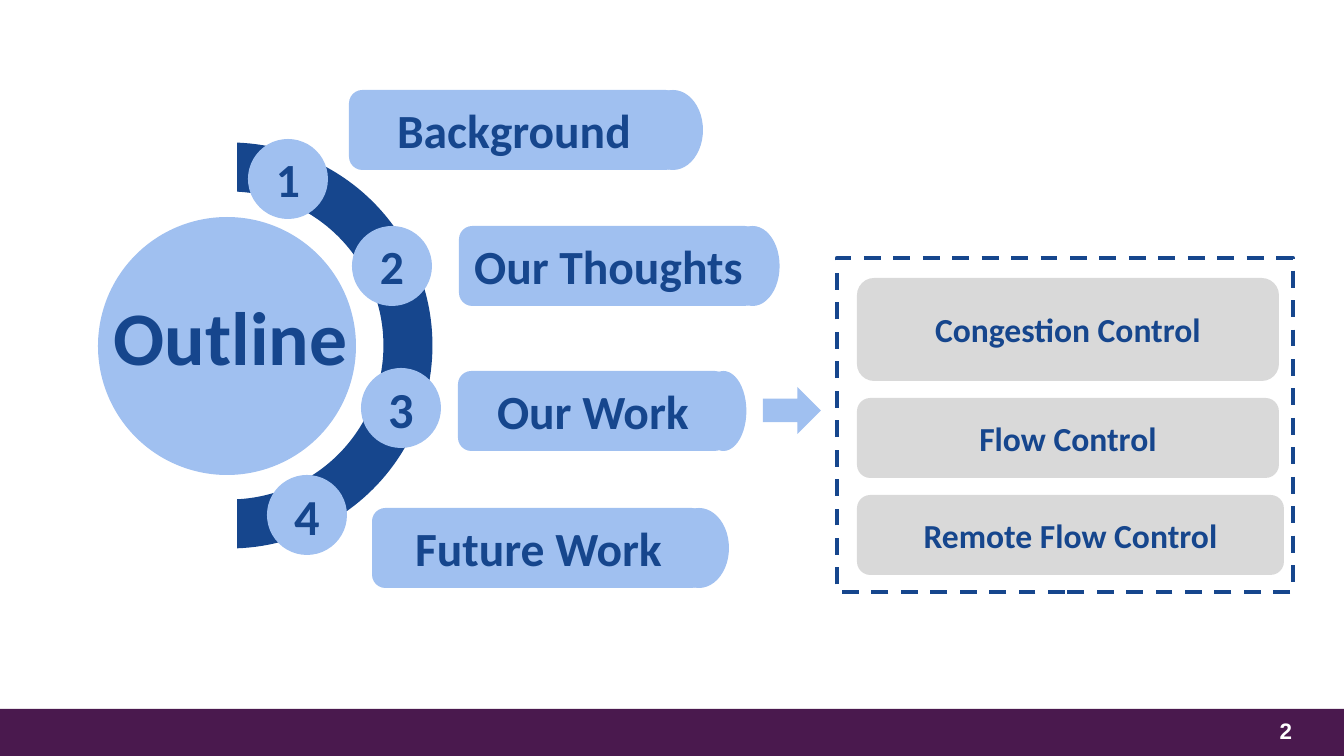
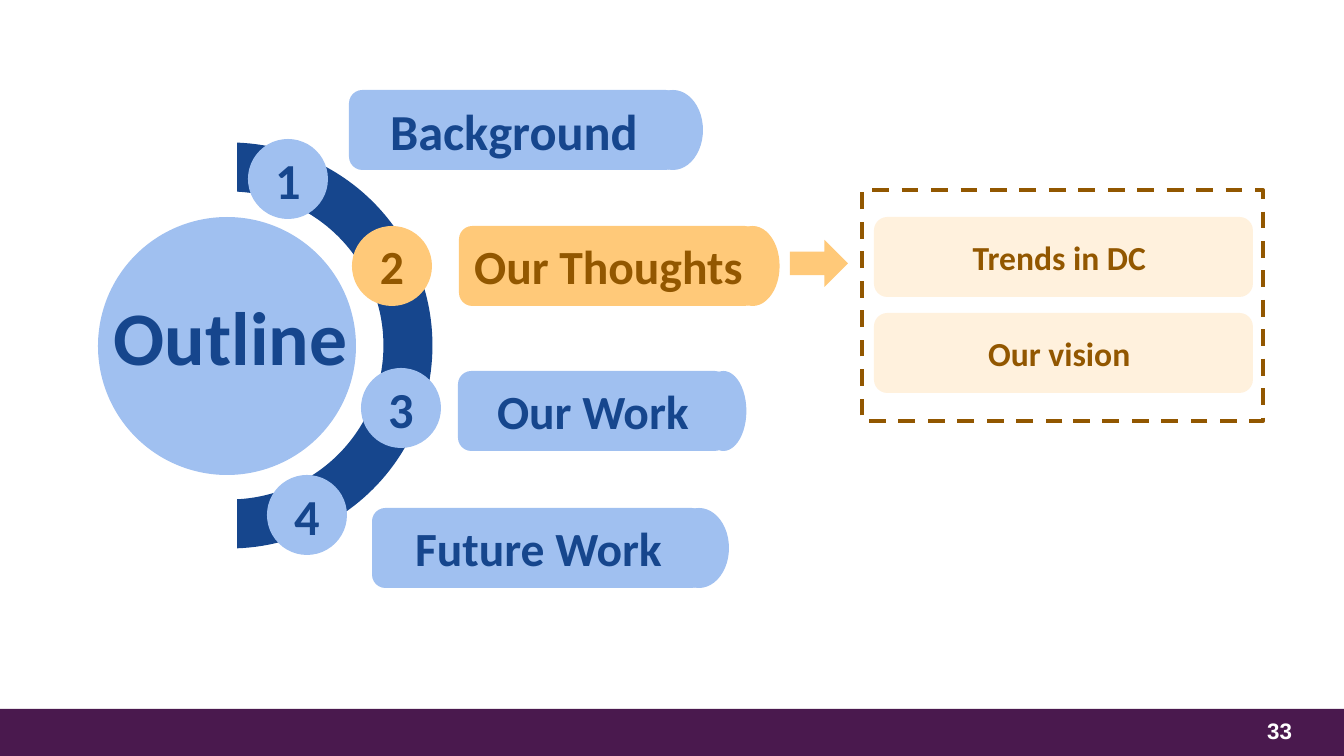
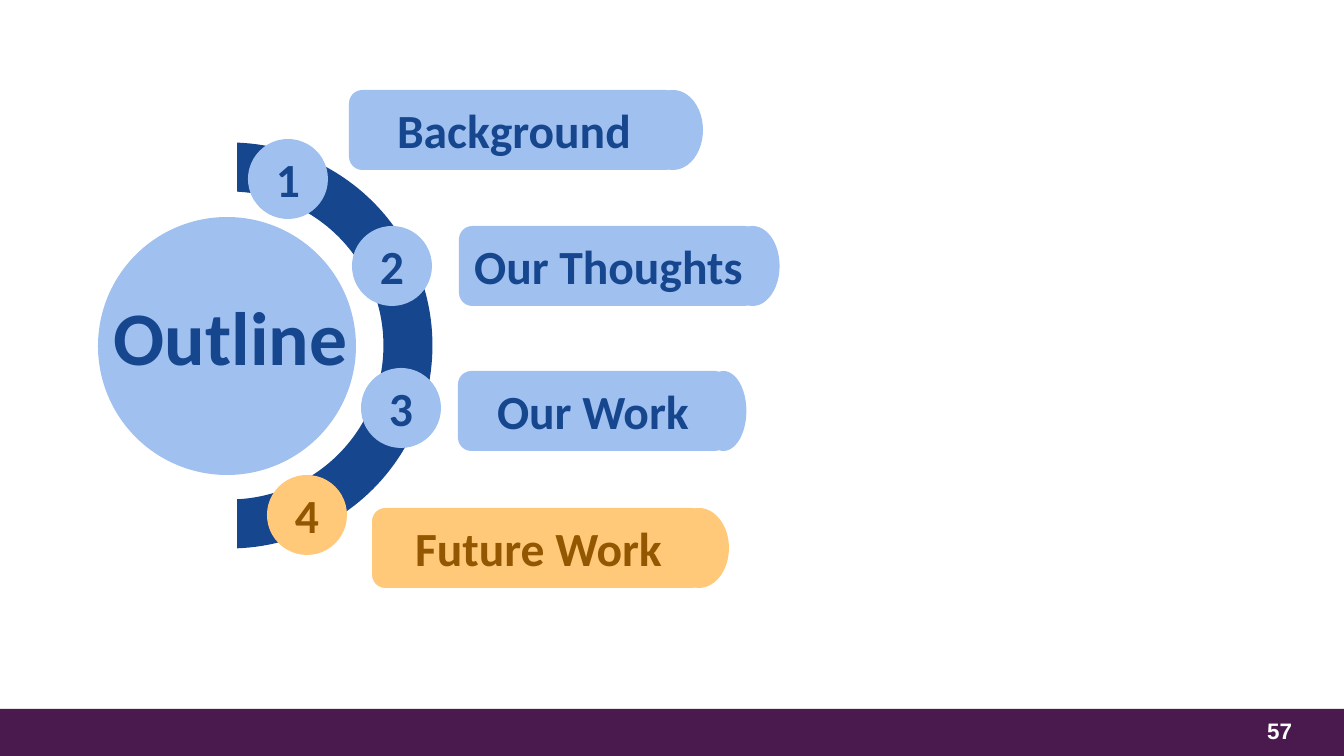
from dataclasses import dataclass

from pptx import Presentation
from pptx import util as u
from pptx.dml.color import RGBColor
from pptx.enum import dml, shapes, text

PX = 914400 / 100.8
NAVY = RGBColor(0x16, 0x46, 0x8D)
SKY = RGBColor(0xA0, 0xC0, 0xF0)
BROWN = RGBColor(0x92, 0x57, 0x00)
AMBER = RGBColor(0xFF, 0xC9, 0x79)
CREAM = RGBColor(0xFF, 0xF1, 0xDD)
GREY = RGBColor(0xD9, 0xD9, 0xD9)
PLUM = RGBColor(0x4A, 0x19, 0x4E)
WHITE = RGBColor(0xFF, 0xFF, 0xFF)
KIND = shapes.MSO_SHAPE
DISC = 80
PILL_HEIGHT = 80


@dataclass
class Topic:
    label: str
    disc: tuple
    pill: tuple
    body: int
    cap: int


TOPICS = [
    Topic("Background", (197, 49), (298, 0), 330, 60),
    Topic("Our Thoughts", (301, 136), (408, 136), 299, 54),
    Topic("Our Work", (310, 278), (407, 281), 270, 46),
    Topic("Future Work", (216, 385), (321, 418), 333, 60),
]


def emu(*lengths):
    return [u.Emu(round(length * PX)) for length in lengths]


def write(shape, words, size=34, color=NAVY, font="Calibri",
          align=text.PP_ALIGN.CENTER, anchor=text.MSO_ANCHOR.MIDDLE):
    frame = shape.text_frame
    frame.word_wrap = True
    frame.vertical_anchor = anchor
    para = frame.paragraphs[0]
    para.alignment = align
    span = para.add_run()
    span.text = words
    span.font.name = font
    span.font.size = u.Pt(size)
    span.font.bold = True
    span.font.color.rgb = color


def draw(page, kind, *box, fill=None, line=None, weight=3, dash=None):
    shape = page.shapes.add_shape(kind, *emu(*box))
    shape.shadow.inherit = False
    if fill is None:
        shape.fill.background()
    else:
        shape.fill.solid()
        shape.fill.fore_color.rgb = fill
    if line is None:
        shape.line.fill.background()
    else:
        shape.line.color.rgb = line
        shape.line.width = u.Pt(weight)
        shape.line.dash_style = dash
    return shape


def add_band(page, layout):
    for holder in list(layout.placeholders):
        layout.shapes.element.remove(holder.element)
    band = draw(page, KIND.RECTANGLE, 0, 709, 1344, 47, fill=PLUM)
    layout.shapes.element.append(band.element)


def add_number(page, number):
    box = page.shapes.add_textbox(*emu(1005, 713, 297, 35))
    write(box, str(number), size=16, color=WHITE, font="Arial",
          align=text.PP_ALIGN.RIGHT)


def add_pill(page, left, top, topic, fill, color, size):
    cap_left = left + topic.body - 0.6 * topic.cap
    draw(page, KIND.OVAL, cap_left, top, topic.cap, PILL_HEIGHT, fill=fill)
    body = draw(page, KIND.ROUNDED_RECTANGLE, left, top, topic.body,
                PILL_HEIGHT, fill=fill)
    write(body, topic.label, size=size, color=color)


def add_outline(page, left, top, active=None, digit_sizes=(34,) * 4,
                first_label=34):
    draw(page, KIND.OVAL, left, top + 77, 357, 357, line=NAVY, weight=35)
    draw(page, KIND.RECTANGLE, left - 34, top + 9, 220, 479, fill=WHITE)
    draw(page, KIND.OVAL, left + 47, top + 127, 258, 258, fill=SKY)
    title = page.shapes.add_textbox(*emu(left + 38, top + 195, 283, 102))
    write(title, "Outline", size=54, anchor=text.MSO_ANCHOR.TOP)
    for number, (topic, size) in enumerate(zip(TOPICS, digit_sizes), 1):
        fill, color = (AMBER, BROWN) if number == active else (SKY, NAVY)
        x, y = topic.disc
        disc = draw(page, KIND.OVAL, left + x, top + y, DISC, DISC, fill=fill)
        write(disc, str(number), size=size, color=color)
        x, y = topic.pill
        add_pill(page, left + x, top + y, topic, fill, color,
                 first_label if number == 1 else 34)


def add_panel(page, left, top, width, height, rows, inset, gap, fill, color,
              nudge=0):
    x, y = left + inset[0], top + inset[1]
    for label, row_width, row_height in rows:
        row = draw(page, KIND.ROUNDED_RECTANGLE, x, y, row_width, row_height,
                   fill=fill)
        row.text_frame.margin_right += emu(nudge)[0]
        write(row, label, size=24, color=color)
        y += row_height + gap
    draw(page, KIND.RECTANGLE, left, top, width, height, line=color,
         dash=dml.MSO_LINE.DASH)


def add_arrow(page, left, top, fill):
    draw(page, KIND.RIGHT_ARROW, left, top, 58, 47, fill=fill)


def main():
    deck = Presentation()
    deck.slide_width, deck.slide_height = emu(1344, 756)
    layout = deck.slide_layouts[6]
    overview, thoughts, future = [deck.slides.add_slide(layout)
                                  for _ in range(3)]
    add_band(overview, layout)
    for page, number in ((overview, 2), (thoughts, 33), (future, 57)):
        add_number(page, number)

    add_outline(overview, 51, 90, digit_sizes=(34, 34, 36, 36))
    add_arrow(overview, 763, 387, SKY)
    add_panel(overview, 837, 258, 456, 334,
              [("Congestion Control", 422, 103), ("Flow Control", 422, 80),
               ("Remote Flow Control", 427, 80)],
              inset=(20, 20), gap=17, fill=GREY, color=NAVY)

    add_outline(thoughts, 51, 90, active=2, digit_sizes=(36, 34, 36, 36),
                first_label=36)
    add_arrow(thoughts, 790, 240, AMBER)
    add_panel(thoughts, 862, 190, 401, 231,
              [("Trends in DC", 379, 80), ("Our vision", 379, 80)],
              inset=(12, 27), gap=16, fill=CREAM, color=BROWN, nudge=8)

    add_outline(future, 51, 90, active=4)
    deck.save("out.pptx")


if __name__ == "__main__":
    main()
